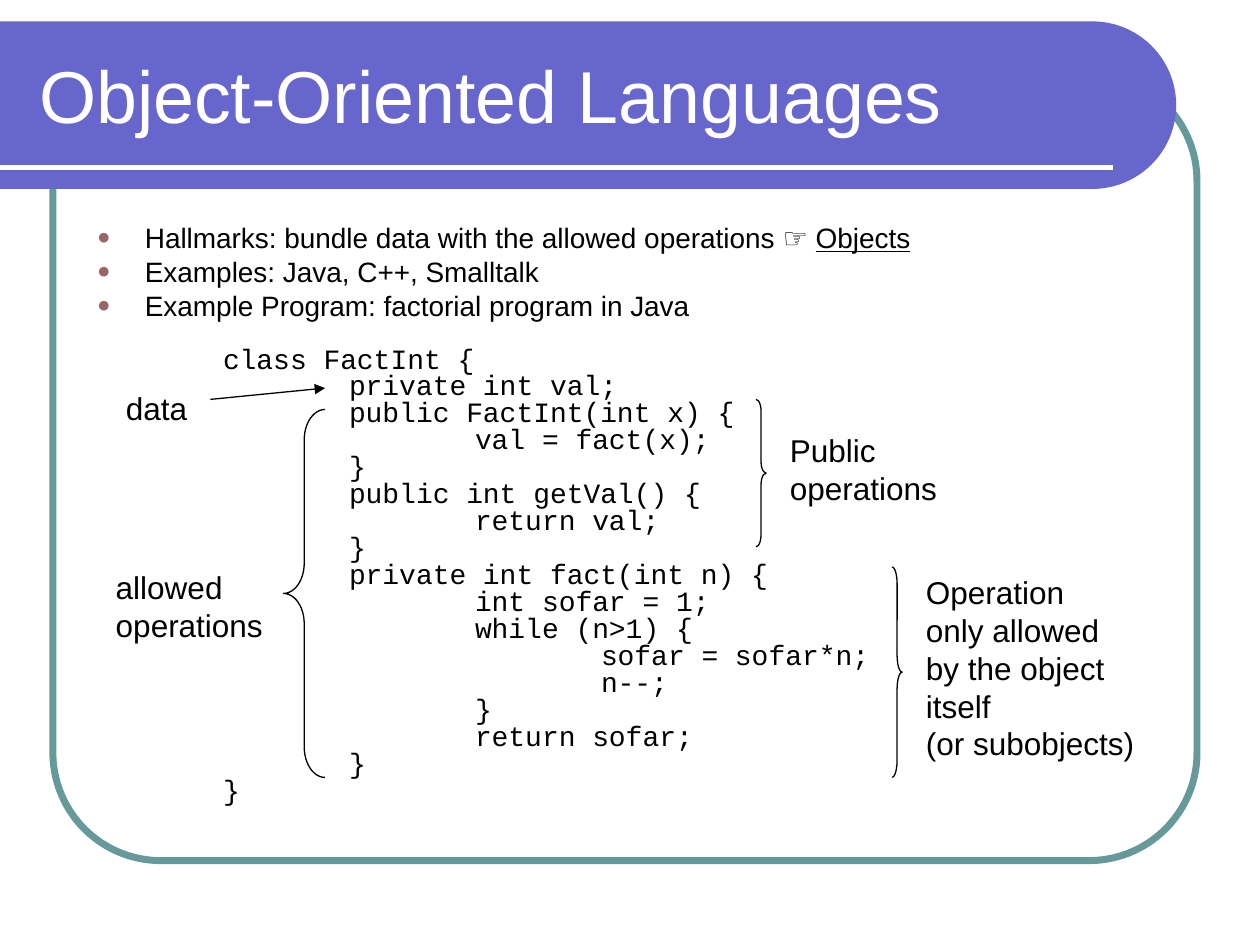
from math import cos, pi, sin

from lxml import etree
from pptx import Presentation
from pptx.dml.color import RGBColor
from pptx.enum.shapes import MSO_CONNECTOR, MSO_SHAPE
from pptx.enum.text import MSO_ANCHOR, MSO_AUTO_SIZE, PP_ALIGN
from pptx.oxml.ns import qn
from pptx.util import Inches, Pt

COLORS = {"white": "FFFFFF", "black": "000000", "band": "6666CC",
          "frame": "669999", "bullet": "996666"}
RGB = {name: RGBColor.from_string(value) for name, value in COLORS.items()}


def add_run(p, text, size, color="black", font="Arial"):
    r = p.add_run()
    r.text = text
    r.font.size = Pt(size)
    r.font.name = font
    r.font.color.rgb = RGB[color]
    return r


def add_line(shapes, start, end, color, width):
    line = shapes.add_connector(MSO_CONNECTOR.STRAIGHT,
                                *(Inches(v) for v in start + end))
    line.line.color.rgb = RGB[color]
    line.line.width = Pt(width)
    etree.SubElement(line._element.spPr, qn("a:effectLst"))
    return line


prs = Presentation()
prs.slide_width, prs.slide_height = Inches(10), Inches(7.5)
s = prs.slides.add_slide(prs.slide_layouts[1])
shapes = s.shapes
title, body = s.placeholders

frame = shapes.add_shape(MSO_SHAPE.ROUNDED_RECTANGLE, Inches(0.42), Inches(0.58),
                         Inches(9.08), Inches(6.25))
frame.adjustments[0] = 0.137
frame.shadow.inherit = False
frame.fill.background()
frame.line.color.rgb = RGB["frame"]
frame.line.width = Pt(4)

radius, center_x, center_y = 0.665, 8.67, 0.835
arc = [(center_x + radius * cos(a), center_y + radius * sin(a))
       for a in (pi * (i / 48 - 0.5) for i in range(49))]
builder = shapes.build_freeform(0, Inches(0.17))
builder.add_line_segments([(Inches(x), Inches(y)) for x, y in arc + [(0, 1.5)]])
band = builder.convert_to_shape()
band.shadow.inherit = False
band.fill.solid()
band.fill.fore_color.rgb = RGB["band"]
band.line.fill.background()

add_line(shapes, (0, 1.33), (8.83, 1.33), "white", 3)

for sp, box in ((title, (0.21, 0.25, 8.77, 1)), (body, (0.67, 1.75, 8.67, 4.83))):
    sp.left, sp.top, sp.width, sp.height = (Inches(v) for v in box)
    sp.text_frame.auto_size = MSO_AUTO_SIZE.NONE
    shapes._spTree.append(sp._element)

title.text_frame.vertical_anchor = MSO_ANCHOR.MIDDLE
p = title.text_frame.paragraphs[0]
p.alignment = PP_ALIGN.LEFT
add_run(p, "Object-Oriented Languages", 42, "white")

bullets = ["Hallmarks: bundle data with the allowed operations ☞ ",
           "Examples: Java, C++, Smalltalk",
           "Example Program: factorial program in Java"]
tf = body.text_frame
for i, text in enumerate(bullets):
    p = tf.add_paragraph() if i else tf.paragraphs[0]
    p.line_spacing = 0.8
    p.space_before = Pt(4)
    add_run(p, text, 16)
    pPr = p._p.get_or_add_pPr()
    pPr.set("marL", str(Inches(0.38)))
    pPr.set("indent", str(-Inches(0.38)))
    color = etree.SubElement(pPr, qn("a:buClr"))
    etree.SubElement(color, qn("a:srgbClr"), val=COLORS["bullet"])
    etree.SubElement(pPr, qn("a:buSzPct"), val="80000")
    etree.SubElement(pPr, qn("a:buChar"), char="●")
add_run(tf.paragraphs[0], "Objects", 16).font.underline = True

code = [(1, "class FactInt {"),
        (2, "private int val;"),
        (2, "public FactInt(int x) {"),
        (3, "val = fact(x);"),
        (2, "}"),
        (2, "public int getVal() {"),
        (3, "return val;"),
        (2, "}"),
        (2, "private int fact(int n) {"),
        (3, "int sofar = 1;"),
        (3, "while (n>1) {"),
        (4, "sofar = sofar*n;"),
        (4, "n--;"),
        (3, "}"),
        (3, "return sofar;"),
        (2, "}"),
        (1, "}")]
for i, (depth, text) in enumerate(code):
    p = tf.add_paragraph()
    p.line_spacing = Pt(15.4)
    p.space_before = Pt(0 if i else 15)
    add_run(p, text, 16, font="Courier New")
    pPr = p._p.get_or_add_pPr()
    pPr.set("marL", str(Inches(depth)))
    pPr.set("indent", "0")
    etree.SubElement(pPr, qn("a:buNone"))

arrow = add_line(shapes, (1.67, 3.17), (2.58, 3.08), "black", 0.75)
etree.SubElement(arrow.line._get_or_add_ln(), qn("a:tailEnd"), type="triangle")

braces = [(MSO_SHAPE.LEFT_BRACE, (2.25, 3.25, 0.33, 2.92), 0.73),
          (MSO_SHAPE.RIGHT_BRACE, (6, 3.17, 0.08, 1.17), 1.17),
          (MSO_SHAPE.RIGHT_BRACE, (7.08, 4.5, 0.08, 1.67), 1.67)]
for kind, box, curve in braces:
    brace = shapes.add_shape(kind, *(Inches(v) for v in box))
    brace.adjustments[0] = curve
    brace.shadow.inherit = False
    brace.fill.background()
    brace.line.color.rgb = RGB["black"]
    brace.line.width = Pt(0.75)

labels = [((0.9, 3.04, 0.75, 0.4), ["data"]),
          ((0.82, 4.46, 1.42, 0.7), ["allowed", "operations"]),
          ((6.17, 3.37, 1.42, 0.7), ["Public", "operations"]),
          ((7.25, 4.5, 1.92, 1.6), ["Operation", "only allowed", "by the object",
                                    "itself", "(or subobjects)"])]
for box, lines in labels:
    tf = shapes.add_textbox(*(Inches(v) for v in box)).text_frame
    tf.word_wrap = True
    tf.auto_size = MSO_AUTO_SIZE.SHAPE_TO_FIT_TEXT
    p = tf.paragraphs[0]
    for i, text in enumerate(lines):
        if i:
            p.add_line_break()
        add_run(p, text, 18)

prs.save("out.pptx")
